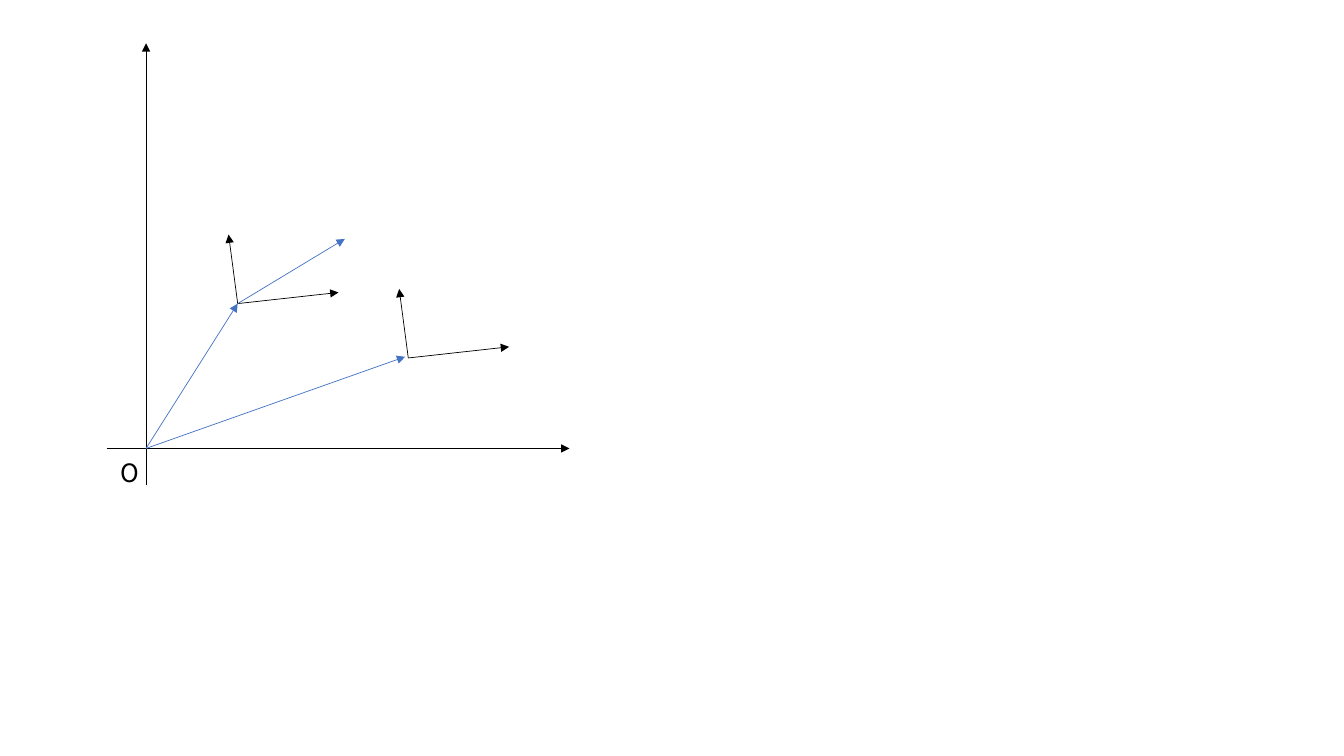
from lxml import etree
from pptx import Presentation
from pptx.dml.color import RGBColor
from pptx.enum.shapes import MSO_CONNECTOR as Connector
from pptx.enum.text import MSO_AUTO_SIZE as AutoSize
from pptx.oxml.ns import qn
from pptx.util import Cm, Pt

ORIGIN = (3.68, 11.3)
FRAME_A = (5.99, 7.65)
FRAME_B = (10.29, 9.02)
FRAME_ARMS = ((-0.23, -1.74), (2.54, -0.28))


def colour(code):
    return RGBColor.from_string(code)


class Diagram:
    font = "Noto Sans CJK SC"
    black = "000000"
    blue = "4472C4"
    line_width = Pt(0.5)

    def __init__(self, page):
        self.page = page

    def arrow(self, start, end, code):
        line = self.page.shapes.add_connector(
            Connector.STRAIGHT, *map(Cm, (*start, *end)))
        line.line.width = self.line_width
        line.line.color.rgb = colour(code)
        etree.SubElement(line.line._get_or_add_ln(), qn("a:tailEnd"), type="triangle")
        etree.SubElement(line._element.spPr, qn("a:effectLst"))

    def axis(self, start, end):
        self.arrow(start, end, self.black)

    def vector(self, start, end):
        self.arrow(start, end, self.blue)

    def local_frame(self, centre):
        """Draw the two tilted axes of a local coordinate system."""
        x, y = centre
        for dx, dy in FRAME_ARMS:
            self.axis(centre, (x + dx, y + dy))

    def label(self, text, left, top, width, height):
        box = self.page.shapes.add_textbox(*map(Cm, (left, top, width, height)))
        frame = box.text_frame
        frame.word_wrap = False
        frame.auto_size = AutoSize.SHAPE_TO_FIT_TEXT
        span = frame.paragraphs[0].add_run()
        span.text = text
        span.font.size = Pt(18)
        span.font.name = self.font
        span.font.color.rgb = colour(self.black)


def main():
    deck = Presentation()
    deck.slide_width, deck.slide_height = Cm(33.87), Cm(19.05)
    diagram = Diagram(deck.slides.add_slide(deck.slide_layouts[6]))

    x, y = ORIGIN
    diagram.axis((x, 12.22), (x, 1.09))
    diagram.axis((2.69, y), (14.35, y))
    diagram.label("O", 2.79, 11.4, 0.99, 1.02)

    diagram.local_frame(FRAME_A)
    diagram.vector(ORIGIN, FRAME_A)
    diagram.vector(ORIGIN, (10.21, 8.99))
    diagram.local_frame(FRAME_B)
    diagram.vector(FRAME_A, (8.69, 6.02))

    deck.save("out.pptx")


if __name__ == "__main__":
    main()
